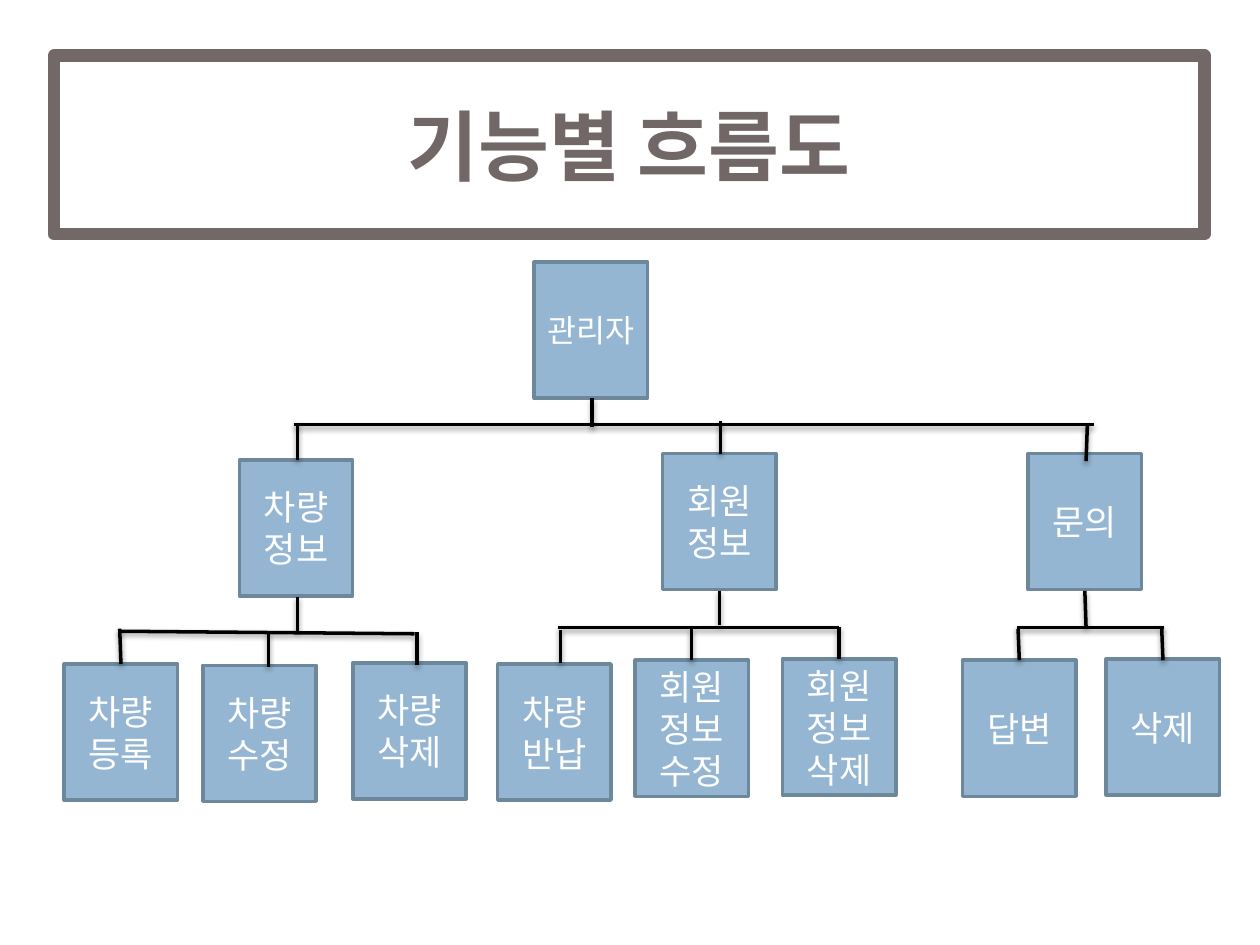
import pptx
import pptx.util
import pptx.dml.color
import pptx.enum.shapes
import pptx.enum.text
import pptx.oxml
import pptx.oxml.ns

FONT = "Noto Sans CJK KR"
Pt = pptx.util.Pt
deck = pptx.Presentation()
deck.slide_width = pptx.util.Inches(10)
deck.slide_height = pptx.util.Inches(7.5)
slide = deck.slides.add_slide(deck.slide_layouts[6])
cell = deck.slide_width / 100  # grid of 100 columns by 75 rows
wide, high = 9, 10.8

SHADE = (
    f'<a:effectLst {pptx.oxml.ns.nsdecls("a")}>'
    '<a:outerShdw blurRad="39370" dist="20320" dir="5400000" rotWithShape="0">'
    '<a:srgbClr val="000000"><a:alpha val="38000"/></a:srgbClr>'
    "</a:outerShdw></a:effectLst>"
)


def rect(at, text, size, ink, fill, edge, width, bold=False):
    """Draw a bordered rectangle with centred text; at is in grid cells."""
    box = slide.shapes.add_shape(
        pptx.enum.shapes.MSO_SHAPE.RECTANGLE, *[round(n * cell) for n in at])
    box.shadow.inherit = False
    box.fill.solid()
    box.fill.fore_color.rgb = pptx.dml.color.RGBColor.from_string(fill)
    box.line.color.rgb = pptx.dml.color.RGBColor.from_string(edge)
    box.line.width = Pt(width)
    frame = box.text_frame
    frame.word_wrap = True
    frame.vertical_anchor = pptx.enum.text.MSO_ANCHOR.MIDDLE
    par = frame.paragraphs[0]
    par.text = text
    par.alignment = pptx.enum.text.PP_ALIGN.CENTER
    par.line_spacing = Pt(size * 1.2)
    par.font.size = Pt(size)
    par.font.bold = bold
    par.font.color.rgb = pptx.dml.color.RGBColor.from_string(ink)
    par.font.name = FONT
    # Korean glyphs take the East Asian font
    east = pptx.oxml.parse_xml(
        f'<a:ea {pptx.oxml.ns.nsdecls("a")} typeface="{FONT}"/>')
    par._p.pPr[-1].append(east)


def link(*ends):
    """Draw a shadowed black line from x, y to x, y in grid cells."""
    line = slide.shapes.add_connector(
        pptx.enum.shapes.MSO_CONNECTOR.STRAIGHT,
        *[round(n * cell) for n in ends])
    line.line.color.rgb = pptx.dml.color.RGBColor.from_string("000000")
    line.line.width = Pt(2)
    line._element.spPr.append(pptx.oxml.parse_xml(SHADE))


# Each node: text, left, top, size
nodes = [
    ("관리자", 42.4, 20.8, 18),
    ("차량정보", 19, 36.5, 20),
    ("회원정보", 52.6, 36, 20),
    ("문의", 81.6, 36, 20),
    ("차량등록", 5.1, 52.7, 20),
    ("차량수정", 16.1, 52.8, 20),
    ("차량삭제", 28, 52.6, 20),
    ("차량반납", 39.5, 52.7, 20),
    ("회원정보수정", 50.4, 52.4, 20),
    ("회원정보삭제", 62.1, 52.3, 20),
    ("답변", 76.4, 52.4, 20),
    ("삭제", 87.8, 52.3, 20),
]

# Each branch: bar ends, stem (x, top, x, foot), drops (x, top, x, foot)
trees = [
    ((23.3, 33.7, 86.8, 33.7), (47, 31.6, 47, 33.9),
     [(23.6, 33.6, 23.6, 36.5), (57.2, 33.4, 57.2, 36),
      (86.3, 33.7, 86.2, 36.6)]),
    ((9.4, 50.1, 32.9, 50.3), (23.6, 47.4, 23.6, 50.1),
     [(9.5, 49.9, 9.6, 52.7), (21.3, 50.2, 21.3, 52.9),
      (33.1, 50.2, 33.1, 52.8)]),
    ((44.3, 49.8, 66.6, 49.8), (57.1, 46.9, 57.1, 49.6),
     [(44.5, 50, 44.5, 52.6), (54.9, 49.9, 54.9, 52.4),
      (66.6, 49.8, 66.6, 52.3)]),
    ((80.7, 49.8, 92.4, 49.8), (86.1, 46.9, 86.2, 49.8),
     [(80.8, 49.9, 80.9, 52.4), (92.2, 49.8, 92.3, 52.4)]),
]

rect((4.3, 4.4, 91.3, 14.2), "기능별 흐름도", 44, "716767",
     "FFFFFF", "726868", 7, True)
for text, left, top, size in nodes:
    rect((left, top, wide, high), text, size, "FFFFFF", "94B6D2", "6D879B", 2)
for bar, stem, drops in trees:
    for ends in (bar, stem, *drops):
        link(*ends)

deck.save("out.pptx")
